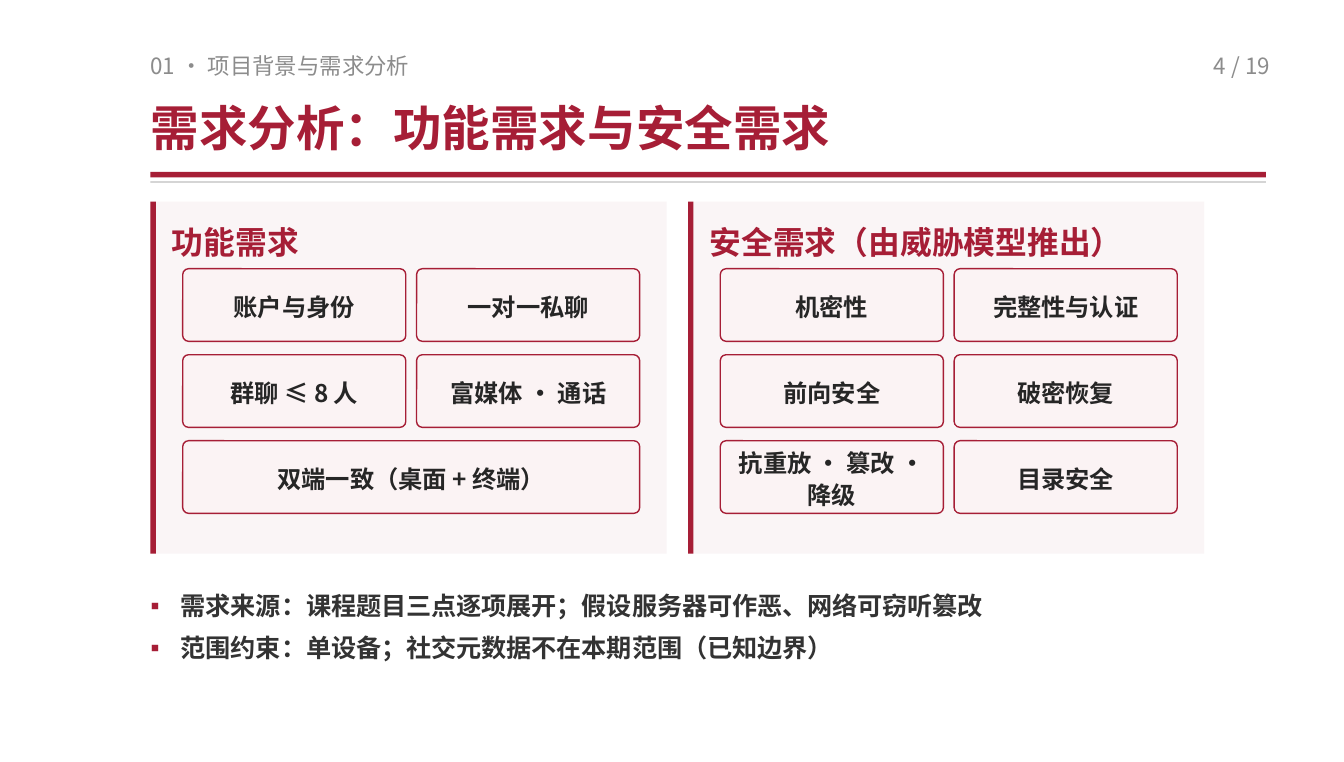
from lxml import etree
from pptx import Presentation
from pptx.dml.color import RGBColor
from pptx.enum.shapes import MSO_SHAPE
from pptx.enum.text import MSO_ANCHOR, MSO_AUTO_SIZE, PP_ALIGN
from pptx.oxml.ns import qn
from pptx.util import Pt

RECT, ROUND = MSO_SHAPE.RECTANGLE, MSO_SHAPE.ROUNDED_RECTANGLE
LEFT, RIGHT, CENTER = PP_ALIGN.LEFT, PP_ALIGN.RIGHT, PP_ALIGN.CENTER
TOP, MIDDLE = MSO_ANCHOR.TOP, MSO_ANCHOR.MIDDLE
GROW, FIXED = MSO_AUTO_SIZE.SHAPE_TO_FIT_TEXT, MSO_AUTO_SIZE.NONE

SANS = "Noto Sans CJK SC"
HUES = {"red": "A61E36", "grey": "8C8C8C", "rule": "BFBFBF", "panel": "FAF5F6",
        "chip": "FBF3F4", "ink": "262626", "body": "333333"}
PANELS = [
    ("功能需求", [["账户与身份", "一对一私聊"], ["群聊 ≤ 8 人", "富媒体 · 通话"],
              ["双端一致（桌面 + 终端）"]]),
    ("安全需求（由威胁模型推出）", [["机密性", "完整性与认证"], ["前向安全", "破密恢复"],
                       ["抗重放 · 篡改 · 降级", "目录安全"]]),
]
NOTES = ["需求来源：课程题目三点逐项展开；假设服务器可作恶、网络可窃听篡改",
         "范围约束：单设备；社交元数据不在本期范围（已知边界）"]


def color(name):
    return RGBColor.from_string(HUES[name])


def set_all(item, values):
    for key, value in values.items():
        setattr(item, key, value)


def place(shape, box):
    for key, value in zip(("left", "top", "width", "height"), box):
        setattr(shape, key, Pt(value))


def set_frame(frame, pad=(0, 0), anchor=TOP, size=GROW):
    across, down = map(Pt, pad)
    set_all(frame, {"word_wrap": True, "auto_size": size, "vertical_anchor": anchor,
                    "margin_left": across, "margin_right": across,
                    "margin_top": down, "margin_bottom": down})


def write(para, text, size, hue, bold=False, face=SANS, align=LEFT, lead=1.25, after=4):
    set_all(para, {"alignment": align, "line_spacing": lead,
                   "space_before": Pt(0), "space_after": Pt(after)})
    run = para.add_run()
    run.text = text
    set_all(run.font, {"size": Pt(size), "bold": bold, "name": face})
    run.font.color.rgb = color(hue)
    asian = etree.SubElement(run.font._element, qn("a:ea"))
    asian.set("typeface", SANS)


def add_text(slide, box, text, size, hue, **style):
    shape = slide.shapes.add_textbox(*map(Pt, box))
    set_frame(shape.text_frame)
    write(shape.text_frame.paragraphs[0], text, size, hue, **style)


def add_block(slide, box, hue, kind=RECT):
    shape = slide.shapes.add_shape(kind, *map(Pt, box))
    shape.shadow.inherit = False
    shape.fill.solid()
    shape.fill.fore_color.rgb = color(hue)
    shape.line.fill.background()
    return shape


def add_chip(slide, box, text):
    chip = add_block(slide, box, "chip", ROUND)
    chip.adjustments[0] = 0.08
    chip.line.color.rgb = color("red")
    chip.line.width = Pt(0.75)
    set_frame(chip.text_frame, (5.76, 2.16), MIDDLE, FIXED)
    write(chip.text_frame.paragraphs[0], text, 13, "ink", bold=True,
          align=CENTER, lead=1.12, after=2)


def add_header(slide, box):
    x, y, w, h = box
    add_text(slide, (x, y, 324, 21.6), "01 · 项目背景与需求分析", 12, "grey")
    add_text(slide, (x + w - 62.64, y, 64.8, 21.6), "4 / 19", 12, "grey", align=RIGHT)
    title = slide.shapes.title
    place(title, (x, y + 20.16, w, 44.64))
    set_frame(title.text_frame)
    write(title.text_frame.paragraphs[0], "需求分析：功能需求与安全需求", 26, "red", bold=True)
    # Double rule under the title
    add_block(slide, (x, y + h - 5.76, w, 2.88), "red")
    add_block(slide, (x, y + h - 0.72, w, 0.72), "rule")


def add_panel(slide, box, head, rows):
    x, y, w, h = box
    add_block(slide, box, "panel")
    add_block(slide, (x, y, 2.88, h), "red")
    add_text(slide, (x + 11.52, y + 6.48, w - 20.16, 21.6), head, 17, "red", bold=True)
    # Chips share the full row width
    full, gap, tall, step = 244.8, 5.76, 38.88, 46.08
    for i, row in enumerate(rows):
        wide = (full - gap * (len(row) - 1)) / len(row)
        for j, text in enumerate(row):
            spot = (x + 17.28 + j * (wide + gap), y + 36 + i * step, wide, tall)
            add_chip(slide, spot, text)


def add_bullet(para):
    props = para._p.get_or_add_pPr()
    props.set("marL", str(Pt(16.2)))
    props.set("indent", str(-Pt(16.2)))
    tint = etree.SubElement(props, qn("a:buClr"))
    etree.SubElement(tint, qn("a:srgbClr")).set("val", HUES["red"])
    etree.SubElement(props, qn("a:buFont")).set("typeface", "Calibri")
    etree.SubElement(props, qn("a:buChar")).set("char", "▪")


def add_notes(slide, box):
    frame = slide.shapes.add_textbox(*map(Pt, box)).text_frame
    set_frame(frame)
    for i, text in enumerate(NOTES):
        para = frame.add_paragraph() if i else frame.paragraphs[0]
        add_bullet(para)
        write(para, text, 13.5, "body", bold=True, face="Calibri", lead=1.15)


def main():
    deck = Presentation()
    deck.slide_width, deck.slide_height = Pt(720), Pt(408.24)
    slide = deck.slides.add_slide(deck.slide_layouts[5])
    left = 80.64
    add_header(slide, (left, 24.48, 597.6, 73.44))
    for i, (head, rows) in enumerate(PANELS):
        add_panel(slide, (left + i * 288, 108, 276.48, 188.64), head, rows)
    add_notes(slide, (left, 313.92, 565.2, 90))
    deck.save("out.pptx")


if __name__ == "__main__":
    main()
